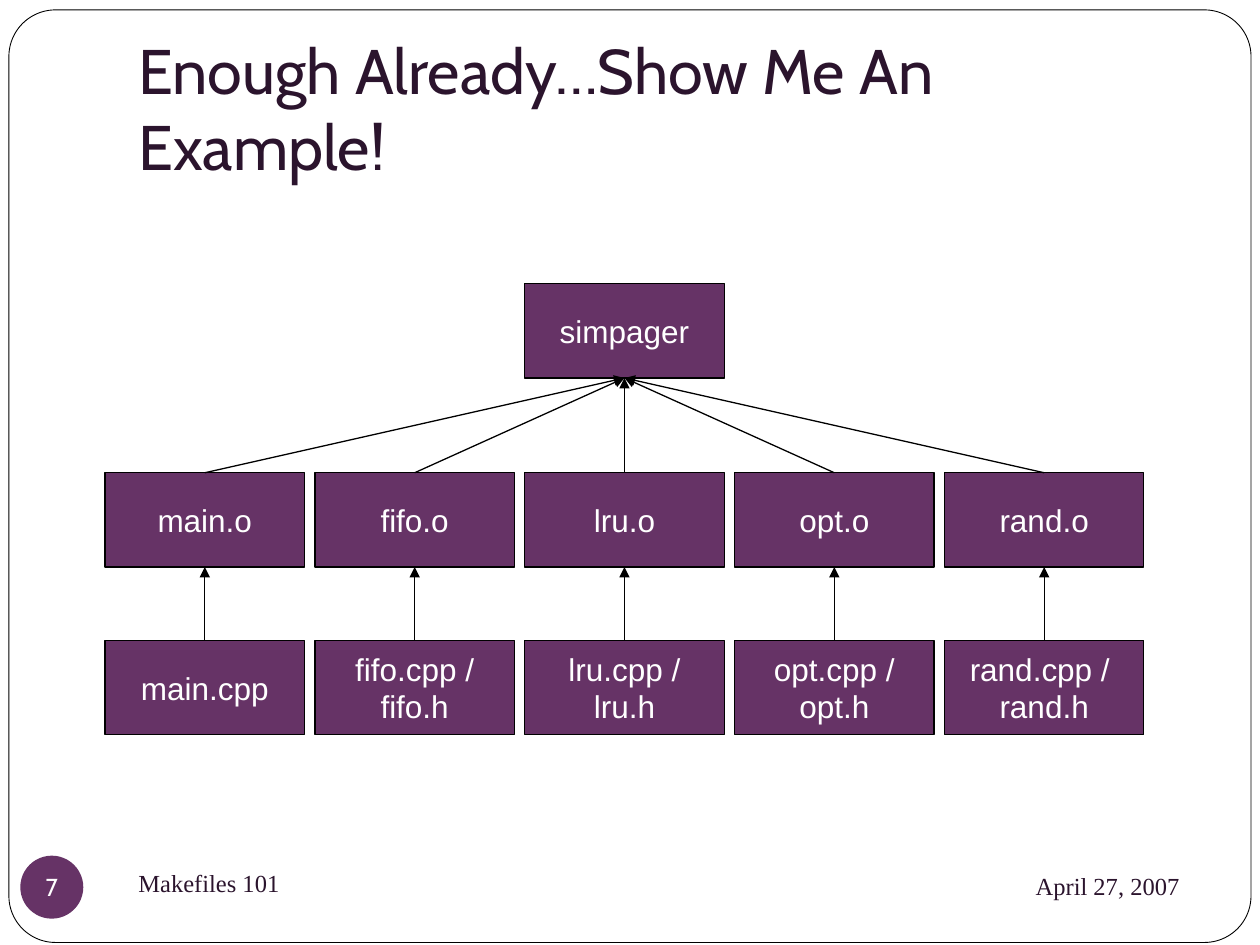
from lxml.etree import SubElement
from pptx import Presentation
from pptx.dml.color import RGBColor
from pptx.enum.shapes import MSO_CONNECTOR, MSO_SHAPE
from pptx.enum.text import MSO_ANCHOR, PP_ALIGN
from pptx.oxml.ns import qn
from pptx.util import Cm, Pt

PURPLE = RGBColor(0x66, 0x33, 0x66)
DARK = RGBColor(0x2B, 0x14, 0x2D)
WHITE = RGBColor(0xFF, 0xFF, 0xFF)
BLACK = RGBColor(0x00, 0x00, 0x00)

TITLE = "Enough Already…Show Me An Example!"
FOOTER = "Makefiles 101"
DATE = "April 27, 2007"
PAGE = "7"
PROGRAM = "simpager"
MODULES = [
    ("main.o", "main.cpp"),
    ("fifo.o", "fifo.cpp /\nfifo.h"),
    ("lru.o", "lru.cpp /\nlru.h"),
    ("opt.o", "opt.cpp /\nopt.h"),
    ("rand.o", "rand.cpp / \nrand.h"),
]

LEFT, PITCH = 2.12, 4.23
BOX_WIDTH, BOX_HEIGHT = 4.02, 1.9
PROGRAM_TOP, OBJECT_TOP, SOURCE_TOP = 5.72, 9.53, 12.91
TOP_SIDE, BOTTOM_SIDE = 0, 2

TITLE_FONT = {"name": "Cabin", "size": Pt(36)}
FOOTER_FONT = {"name": "Times New Roman", "size": Pt(14)}
PAGE_FONT = {"name": "Cabin", "size": Pt(14)}
BOX_FONT = {"name": "Arial", "size": Pt(18)}
TITLE_FRAME = {"vertical_anchor": MSO_ANCHOR.BOTTOM, "word_wrap": True,
               "margin_bottom": Cm(0.25)}
FOOTER_FRAME = {"vertical_anchor": MSO_ANCHOR.MIDDLE, "word_wrap": True}
BOX_FRAME = {"vertical_anchor": MSO_ANCHOR.MIDDLE, "word_wrap": False}
PAGE_FRAME = {**BOX_FRAME, "margin_left": 0, "margin_top": 0,
              "margin_right": 0, "margin_bottom": 0}


def apply(target, values):
    for name, value in values.items():
        setattr(target, name, value)


def write(holder, text, font, color, frame, align=PP_ALIGN.LEFT):
    holder.text_frame.text = text
    apply(holder.text_frame, frame)
    for paragraph in holder.text_frame.paragraphs:
        paragraph.alignment = align
        apply(paragraph.font, font)
        paragraph.font.color.rgb = color


def add_label(slide, place, *style):
    label = slide.shapes.add_textbox(*map(Cm, place))
    write(label, *style)


def add_figure(slide, kind, place, fill, line_width=None):
    figure = slide.shapes.add_shape(kind, *map(Cm, place))
    figure.shadow.inherit = False
    figure.fill.solid()
    figure.fill.fore_color.rgb = fill
    if line_width is None:
        figure.line.fill.background()
    else:
        figure.line.color.rgb = BLACK
        figure.line.width = Pt(line_width)
    return figure


def add_box(slide, column, top, text):
    place = (LEFT + column * PITCH, top, BOX_WIDTH, BOX_HEIGHT)
    box = add_figure(slide, MSO_SHAPE.RECTANGLE, place, PURPLE, 0.75)
    write(box, text, BOX_FONT, WHITE, BOX_FRAME, PP_ALIGN.CENTER)
    return box


def add_arrow(slide, lower, upper):
    arrow = slide.shapes.add_connector(MSO_CONNECTOR.STRAIGHT, 0, 0, 0, 0)
    arrow.begin_connect(lower, TOP_SIDE)
    arrow.end_connect(upper, BOTTOM_SIDE)
    arrow.line.color.rgb = BLACK
    arrow.line.width = Pt(0.75)
    SubElement(arrow.line._get_or_add_ln(), qn("a:tailEnd"), type="triangle")
    SubElement(arrow._element.spPr, qn("a:effectLst"))


def main():
    deck = Presentation()
    deck.slide_width, deck.slide_height = Cm(25.4), Cm(19.05)
    slide = deck.slides.add_slide(deck.slide_layouts[6])

    border = add_figure(slide, MSO_SHAPE.ROUNDED_RECTANGLE,
                        (0.18, 0.2, 25.04, 18.8), WHITE, 0.5)
    border.adjustments[0] = 0.05
    add_label(slide, (2.54, 0.76, 21.59, 3.18), TITLE, TITLE_FONT, DARK, TITLE_FRAME)
    add_label(slide, (17.15, 17.2, 6.88, 1.32), DATE, FOOTER_FONT, DARK,
              FOOTER_FRAME, PP_ALIGN.RIGHT)
    add_label(slide, (2.54, 17.15, 11, 1.27), FOOTER, FOOTER_FONT, DARK, FOOTER_FRAME)
    badge = add_figure(slide, MSO_SHAPE.OVAL, (0.41, 17.25, 1.27, 1.27), PURPLE)
    write(badge, PAGE, PAGE_FONT, WHITE, PAGE_FRAME, PP_ALIGN.CENTER)

    program = add_box(slide, len(MODULES) // 2, PROGRAM_TOP, PROGRAM)
    for column, (object_file, source_files) in enumerate(MODULES):
        compiled = add_box(slide, column, OBJECT_TOP, object_file)
        source = add_box(slide, column, SOURCE_TOP, source_files)
        add_arrow(slide, source, compiled)
        add_arrow(slide, compiled, program)

    deck.save("out.pptx")


if __name__ == "__main__":
    main()
